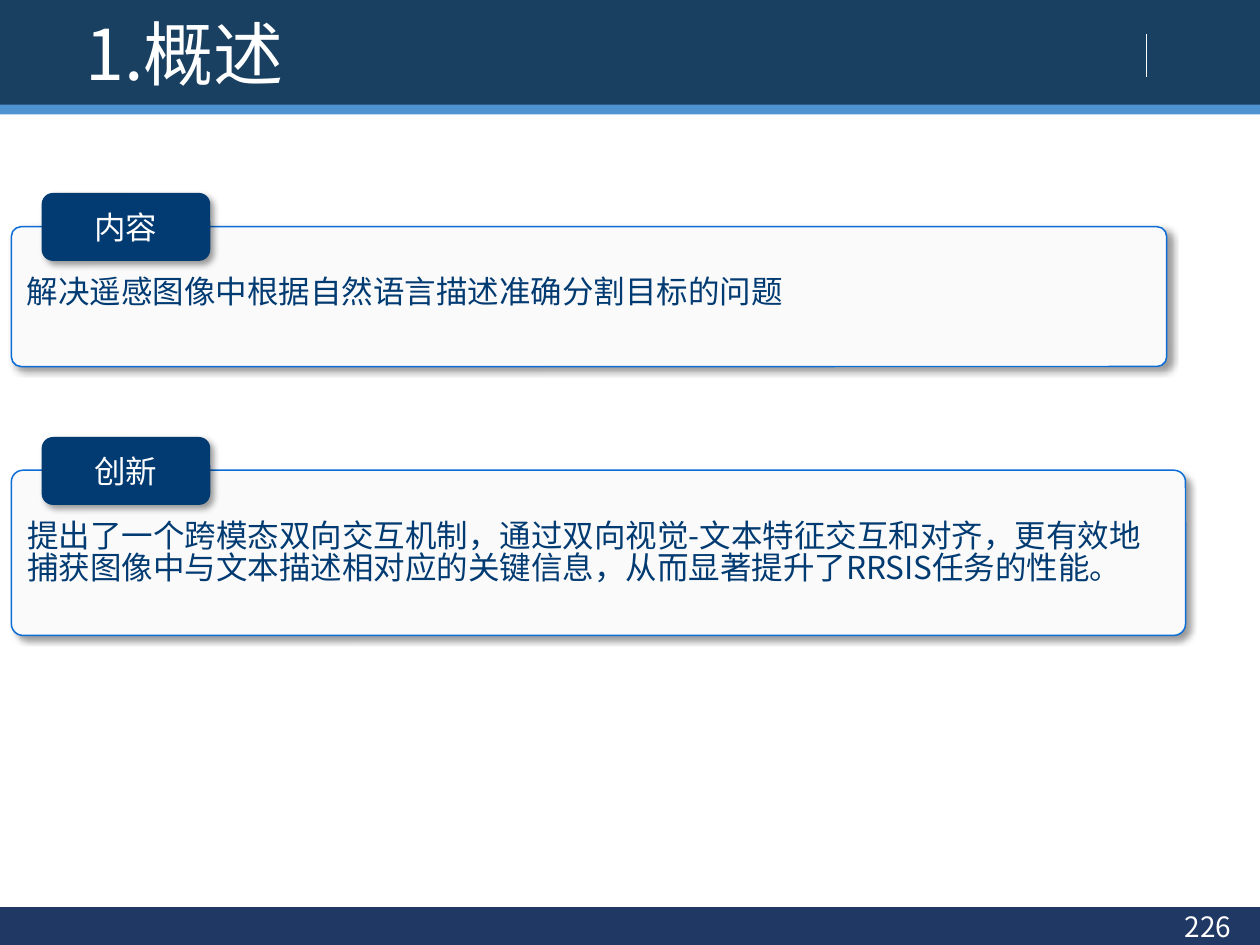
from lxml.etree import SubElement
from pptx import Presentation
from pptx.dml.color import RGBColor
from pptx.enum.shapes import MSO_CONNECTOR, MSO_SHAPE
from pptx.enum.text import MSO_ANCHOR, MSO_AUTO_SIZE, PP_ALIGN
from pptx.oxml.ns import qn
from pptx.util import Cm, Pt

FONT = "Noto Sans CJK SC"
COLORS = {
    "header": "193F61",
    "stripe": "4F93D1",
    "footer": "203864",
    "navy": "023B72",
    "border": "0C6DD7",
    "panel": "FAFAFA",
    "white": "FFFFFF",
    "black": "000000",
}
# label, text, label top, panel top, panel width, panel height (cm)
SECTIONS = [
    ("内容", "解决遥感图像中根据自然语言描述准确分割目标的问题",
     3.89, 4.57, 23.29, 2.82),
    ("创新", "提出了一个跨模态双向交互机制，通过双向视觉-文本特征交互和对齐，"
     "更有效地捕获图像中与文本描述相对应的关键信息，从而显著提升了RRSIS任务的性能。",
     8.81, 9.48, 23.67, 3.33),
]


def color(name):
    return RGBColor.from_string(COLORS[name])


def write_text(shape, text, size, color_name, align=PP_ALIGN.LEFT,
               anchor=MSO_ANCHOR.MIDDLE):
    frame = shape.text_frame
    frame.text = text
    frame.word_wrap = True
    frame.auto_size = MSO_AUTO_SIZE.NONE
    frame.vertical_anchor = anchor
    paragraph = frame.paragraphs[0]
    paragraph.alignment = align
    for run in paragraph.runs:
        run.font.name = FONT
        run.font.size = Pt(size)
        run.font.color.rgb = color(color_name)
        SubElement(run.font._element, qn("a:ea"), typeface=FONT)
    return paragraph


def add_box(slide, kind, left, top, width, height, fill):
    """Add a filled shape without line or shadow; lengths in cm."""
    shape = slide.shapes.add_shape(
        kind, Cm(left), Cm(top), Cm(width), Cm(height))
    shape.fill.solid()
    shape.fill.fore_color.rgb = color(fill)
    shape.line.fill.background()
    shape.shadow.inherit = False
    return shape


def add_shadow(shape):
    effects = shape._element.spPr.find(qn("a:effectLst"))
    shadow = SubElement(
        effects, qn("a:outerShdw"), blurRad=str(Pt(4)), dist=str(Pt(3)),
        dir=str(45 * 60000), algn="tl", rotWithShape="0")
    shade = SubElement(shadow, qn("a:srgbClr"), val=COLORS["black"])
    SubElement(shade, qn("a:alpha"), val="40000")


def add_bars(slide):
    for top, height, fill in ((0, 2.13, "header"), (2.11, 0.2, "stripe"),
                              (18.29, 0.76, "footer")):
        add_box(slide, MSO_SHAPE.RECTANGLE, 0, top, 25.4, height, fill)


def add_header_divider(slide):
    divider = slide.shapes.add_connector(
        MSO_CONNECTOR.STRAIGHT, Cm(23.11), Cm(0.69), Cm(23.11), Cm(1.55))
    divider.line.color.rgb = color("white")
    divider.line.width = Pt(0.5)
    SubElement(divider._element.spPr, qn("a:effectLst"))


def place_title(slide, text):
    title = slide.shapes.title
    title.left, title.top = Cm(1.47), Cm(0.25)
    title.width, title.height = Cm(16.97), Cm(1.6)
    write_text(title, text, 40, "white")
    slide.shapes._spTree.append(title._element)  # in front of the header bar


def add_page_number(slide, number):
    box = slide.shapes.add_textbox(Cm(19.35), Cm(18.16), Cm(5.72), Cm(1.02))
    write_text(box, number, 16, "white", PP_ALIGN.RIGHT)


def add_section(slide, label, text, label_top, top, width, height):
    panel = add_box(slide, MSO_SHAPE.ROUNDED_RECTANGLE,
                    0.23, top, width, height, "panel")
    panel.adjustments[0] = 0.07
    panel.line.color.rgb = color("border")
    panel.line.width = Pt(0.85)
    add_shadow(panel)
    paragraph = write_text(panel, text, 18, "navy", anchor=MSO_ANCHOR.TOP)
    paragraph.line_spacing = 0.85
    panel.text_frame.margin_top = Cm(0.97)  # clears the label

    tab = add_box(slide, MSO_SHAPE.ROUNDED_RECTANGLE,
                  0.84, label_top, 3.4, 1.37, "navy")
    add_shadow(tab)
    write_text(tab, label, 18, "white", PP_ALIGN.CENTER)


def main():
    presentation = Presentation()
    presentation.slide_width, presentation.slide_height = Cm(25.4), Cm(19.05)
    slide = presentation.slides.add_slide(presentation.slide_layouts[5])
    add_bars(slide)
    add_header_divider(slide)
    place_title(slide, "1.概述")
    add_page_number(slide, "226")
    for section in SECTIONS:
        add_section(slide, *section)
    presentation.save("out.pptx")


if __name__ == "__main__":
    main()
